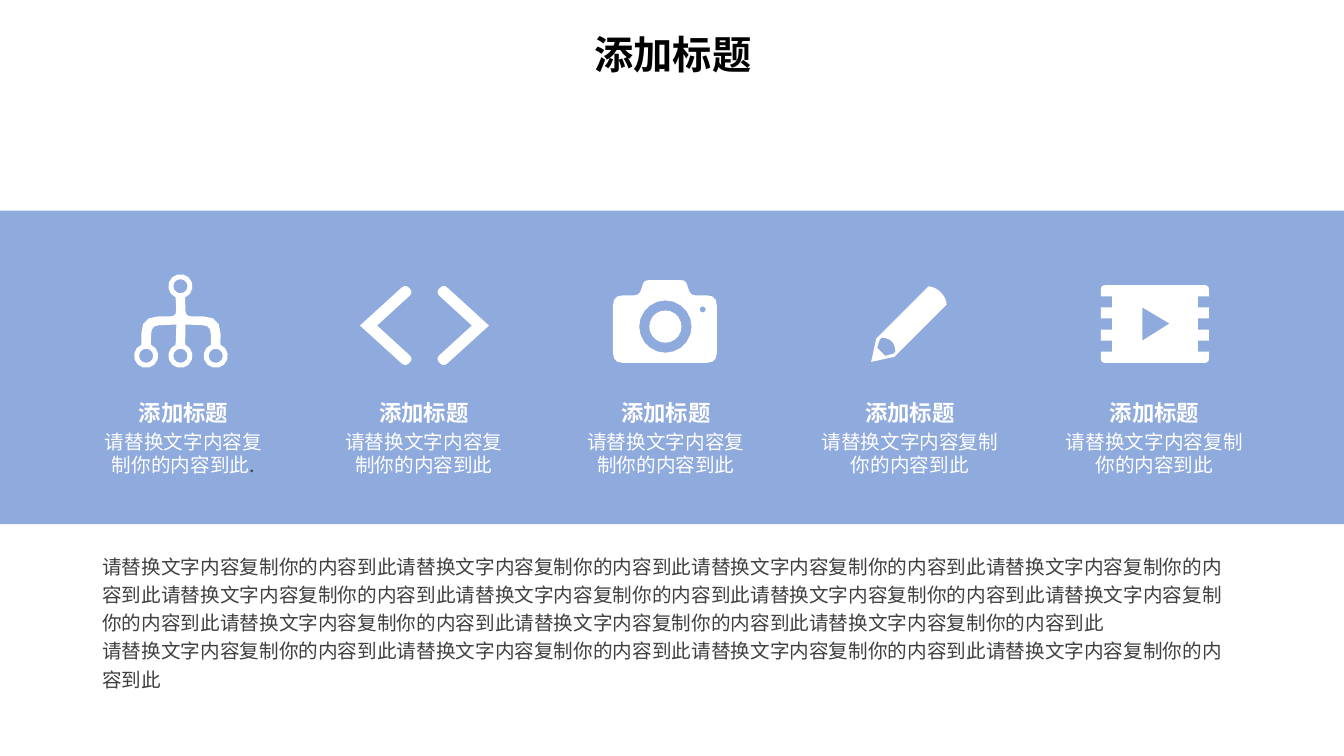
from math import cos, hypot, radians, sin

from lxml.etree import SubElement
from pptx import Presentation
from pptx.dml.color import RGBColor as RGB
from pptx.enum.shapes import MSO_SHAPE as SHAPE
from pptx.enum.text import PP_ALIGN as ALIGN
from pptx.oxml.ns import qn
from pptx.util import Inches, Pt

COLS, ROWS = 133.3, 75  # slide grid
CELL = 0.1  # inches per grid cell
UNITS = 1000  # drawing units per inch
COLORS = {"band": "8FAADC", "white": "FFFFFF", "body": "404040", "title": "000000"}
FONT = "Noto Sans CJK SC"
HEADING = "添加标题"
FILLER = "请替换文字内容复制你的内容到此"


def grid(cells):
    return Inches(cells * CELL)


# Geometry helpers, in inches from an icon's top left corner
def arc(cx, cy, r, start=0, end=330, steps=11):
    angles = [radians(start + (end - start) * i / steps) for i in range(steps + 1)]
    return [(cx + r * cos(a), cy + r * sin(a)) for a in angles]


def toward(a, b, dist):
    t = dist / hypot(b[0] - a[0], b[1] - a[1])
    return a[0] + (b[0] - a[0]) * t, a[1] + (b[1] - a[1]) * t


def rounded(pts, steps=3):
    """Outline in which a third value on a point rounds that corner."""
    out = []
    for i, pt in enumerate(pts):
        if len(pt) == 2:
            out.append(pt)
            continue
        a = toward(pt, pts[i - 1], pt[2])
        b = toward(pt, pts[(i + 1) % len(pts)], pt[2])
        for t in (k / steps for k in range(steps + 1)):
            out.append(tuple((1 - t) ** 2 * a[j] + 2 * t * (1 - t) * pt[j]
                             + t * t * b[j] for j in (0, 1)))
    return out


def mirrored(pts, width):
    return [(width - x, *rest) for x, *rest in reversed(pts)]


# Icons: each returns a list of outlines
def tree_icon():
    leaves = [(x, 0.81) for x in (0.81, 0.46, 0.12)]
    right, middle, left = [arc(*c, 0.12, -67, 247) for c in leaves]
    frame = [*arc(0.46, 0.12, 0.12, 113, 427),
             (0.51, 0.42, 0.06), (0.86, 0.42, 0.17), *right,
             (0.76, 0.51, 0.08), (0.51, 0.5), *middle,
             (0.42, 0.5), (0.17, 0.51, 0.08), *left,
             (0.07, 0.42, 0.17), (0.42, 0.42, 0.06)]
    return [frame] + [arc(*c, 0.07) for c in [(0.46, 0.12), *leaves]]


def code_icon():
    bracket = [(0, 0.39), (0.45, -0.02, 0.05), (0.53, 0.06, 0.05),
               (0.17, 0.39), (0.53, 0.72, 0.05), (0.45, 0.8, 0.05)]
    return [bracket, mirrored(bracket, 1.28)]


def camera_icon():
    body = [(0, 0.15, 0.1), (0.26, 0.15, 0.05), (0.31, 0, 0.04),
            (0.72, 0, 0.04), (0.77, 0.15, 0.05), (1.03, 0.15, 0.1),
            (1.03, 0.82, 0.1), (0, 0.82, 0.1)]
    rings = [arc(0.52, 0.46, r, 0, 342, 19) for r in (0.26, 0.16)]
    return [body, *rings, arc(0.89, 0.29, 0.03)]


def pencil_icon():
    body = [(0.57, 0), (0.64, 0.01, 0.06), (0.74, 0.11, 0.06), (0.75, 0.18),
            (0.23, 0.7), (0, 0.75), (0.05, 0.52)]
    tip = [(0.22, 0.67), (0.14, 0.69), (0.06, 0.61), (0.08, 0.54), (0.1, 0.51),
           (0.17, 0.51, 0.06), (0.24, 0.58, 0.06), (0.24, 0.65)]
    return [body, tip]


def film_icon():
    width, height, notch = 1.07, 0.77, 0.11
    side = [(width, 0, 0.04)]
    for row in (1, 3, 5):
        top, bottom = row * notch, (row + 1) * notch
        side += [(width, top), (width - notch, top),
                 (width - notch, bottom), (width, bottom)]
    side.append((width, height, 0.04))
    play = [(0.41, 0.22), (0.68, 0.38), (0.41, 0.55)]
    return [side + mirrored(side, width), play]


# Slide elements, placed in grid cells
def paint(s, color):
    s.shadow.inherit = False
    s.fill.solid()
    s.fill.fore_color.rgb = RGB.from_string(COLORS[color])
    s.line.fill.background()


def add_band(slide, top, height):
    s = slide.shapes.add_shape(SHAPE.RECTANGLE, 0, grid(top), grid(COLS), grid(height))
    paint(s, "band")


def add_icon(slide, outlines, left, top):
    paths = [[(x * UNITS, y * UNITS) for x, y in rounded(o)] for o in outlines]
    builder = slide.shapes.build_freeform(*paths[0][0], scale=Inches(1) / UNITS)
    for i, pts in enumerate(paths):
        if i:
            builder.move_to(*pts[0])
        builder.add_line_segments(pts[1:], close=True)
    paint(builder.convert_to_shape(grid(left), grid(top)), "white")


def add_text_box(slide, left, top, width, height, inset=(1.3, 0.7)):
    s = slide.shapes.add_textbox(grid(left), grid(top), grid(width), grid(height))
    tf = s.text_frame
    tf.word_wrap = True
    tf.margin_left = tf.margin_right = grid(inset[0])
    tf.margin_top = tf.margin_bottom = grid(inset[1])
    return tf


def write(p, text, size=14, color="white", bold=False, align=None, before=None, spacing=None):
    if align is not None:
        p.alignment = align
    if before is not None:
        p.space_before = Pt(before)
    if spacing is not None:
        p.line_spacing = spacing
    r = p.add_run()
    r.text = text
    r.font.size, r.font.bold, r.font.name = Pt(size), bold, FONT
    r.font.color.rgb = RGB.from_string(COLORS[color])
    SubElement(r.font._element, qn("a:ea")).set("typeface", FONT)


def add_caption(slide, left, width, ending=""):
    tf = add_text_box(slide, left, 38.9, width, 8)
    write(tf.paragraphs[0], HEADING, size=16, bold=True, align=ALIGN.CENTER, before=3)
    p = tf.add_paragraph()
    write(p, FILLER, align=ALIGN.CENTER, before=2.5)
    if ending:
        write(p, ending, color="body")


def main():
    prs = Presentation()
    prs.slide_width, prs.slide_height = grid(COLS), grid(ROWS)
    slide = prs.slides.add_slide(prs.slide_layouts[6])

    # Band with five columns: icon, its left and top, caption left, width, ending
    add_band(slide, 20.9, 31.1)
    columns = [(tree_icon, 13.3, 27.2, 8.2, 20, "."),
               (code_icon, 35.7, 28.4, 32.1, 19.9, ""),
               (camera_icon, 60.8, 27.8, 56, 20.1, ""),
               (pencil_icon, 86.4, 28.4, 80.1, 20.3, ""),
               (film_icon, 109.2, 28.3, 104.3, 20.4, "")]
    for icon, left, top, text_left, width, ending in columns:
        add_icon(slide, icon(), left, top)
        add_caption(slide, text_left, width, ending)

    # Body text
    tf = add_text_box(slide, 8.85, 53.85, 115.6, 16.1)
    write(tf.paragraphs[0], FILLER * 11, color="body", spacing=1.2)
    write(tf.add_paragraph(), FILLER * 4, color="body", spacing=1.2)

    # Title
    tf = add_text_box(slide, 0.1, 2.5, COLS, 5.7, inset=(1, 0.5))
    write(tf.paragraphs[0], HEADING, size=28, color="title", bold=True, align=ALIGN.CENTER)

    prs.save("out.pptx")


if __name__ == "__main__":
    main()
